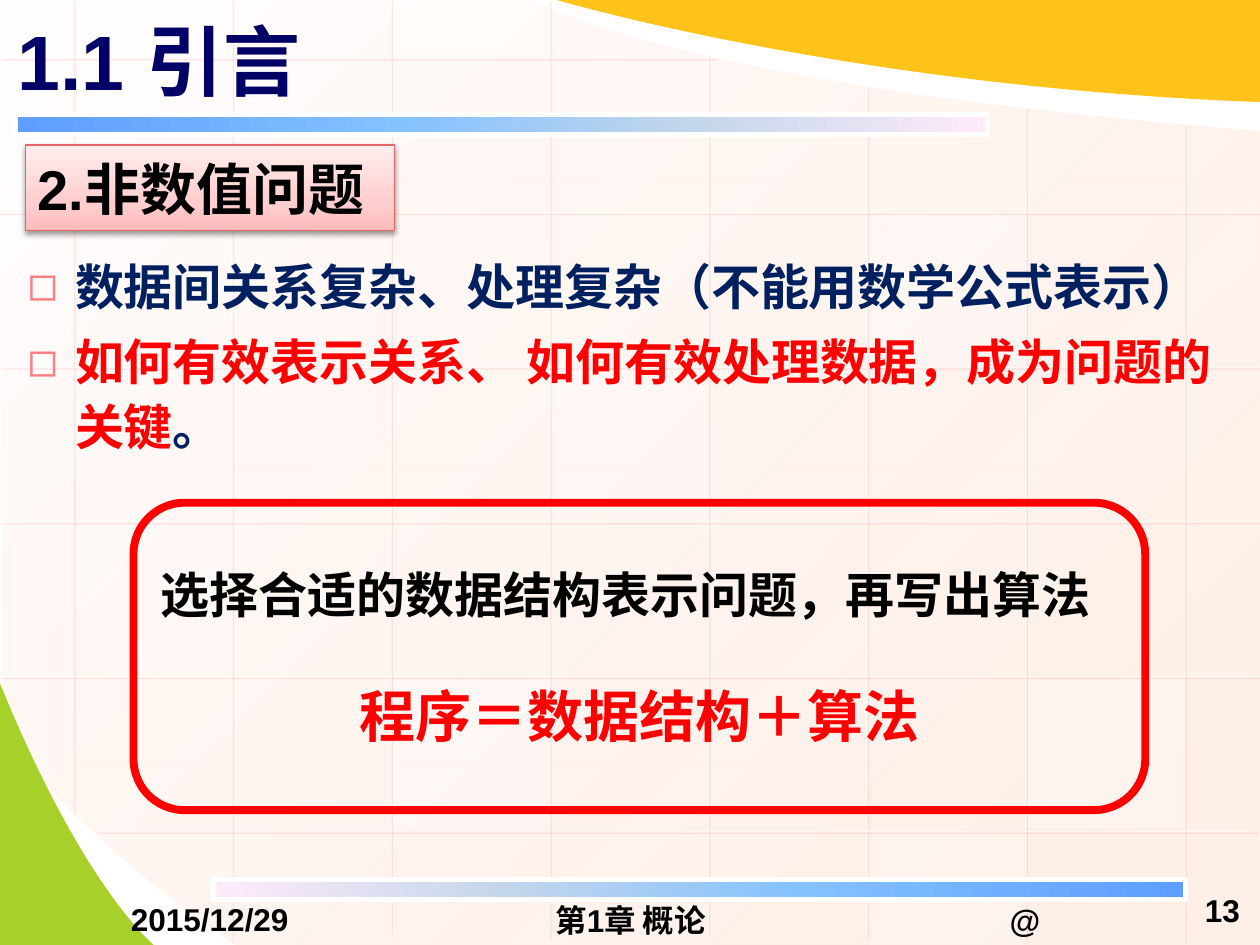
from collections import namedtuple

from lxml.etree import SubElement
from pptx import Presentation
from pptx.dml.color import RGBColor
from pptx.enum.shapes import MSO_CONNECTOR as Connector, MSO_SHAPE as Preset
from pptx.enum.text import MSO_ANCHOR as Anchor, MSO_AUTO_SIZE as AutoSize, PP_ALIGN as Align
from pptx.oxml.ns import qn
from pptx.util import Inches, Pt

Box = namedtuple("Box", "left top width height")
BAR_STOPS = [(0, "5E9EFF"), (40, "85C2FF"), (70, "C4D6EB"), (100, "FFEBFA")]


def rgb(color):
    """Turn a hex string into a colour."""
    return RGBColor.from_string(color)


def inches(box):
    """Turn a box into four lengths."""
    return [Inches(value) for value in box]


def fill_solid(shape, color, alpha=100):
    """Fill a shape with one colour."""
    shape.fill.solid()
    shape.fill.fore_color.rgb = rgb(color)
    if alpha < 100:
        set_alpha(shape, alpha)


def set_alpha(shape, percent):
    """Make the first plain colour of a shape translucent."""
    color = shape.element.spPr.xpath(".//a:srgbClr")[0]
    SubElement(color, qn("a:alpha"), val=str(percent * 1000))


def set_gradient(shape, stops, angle):
    """Fill a shape with (position, colour, optional alpha) stops, angle clockwise."""
    shape.fill.gradient()
    shape.fill.gradient_angle = (360 - angle) % 360
    stop_list = shape.element.spPr.xpath("./a:gradFill/a:gsLst")[0]
    for stop in list(stop_list):
        stop_list.remove(stop)
    for position, color, *alpha in stops:
        stop = SubElement(stop_list, qn("a:gs"), pos=str(position * 1000))
        paint = SubElement(stop, qn("a:srgbClr"), val=color)
        if alpha:
            SubElement(paint, qn("a:alpha"), val=str(alpha[0] * 1000))


def add_shadow(shape, color, alpha, blur, distance, angle):
    """Give a shape an outer shadow."""
    properties = shape.element.spPr
    effects = properties.find(qn("a:effectLst"))
    if effects is None:
        effects = SubElement(properties, qn("a:effectLst"))
    shadow = SubElement(effects, qn("a:outerShdw"), blurRad=str(Pt(blur)), dist=str(Pt(distance)),
                        dir=str(angle * 60000), algn="ctr", rotWithShape="0")
    paint = SubElement(shadow, qn("a:srgbClr"), val=color)
    SubElement(paint, qn("a:alpha"), val=str(alpha * 1000))


def add_plain(page, preset, box, line=None, weight=1):
    """Add an unfilled shape without shadow and with an optional outline."""
    shape = page.shapes.add_shape(preset, *inches(box))
    shape.shadow.inherit = False
    shape.fill.background()
    if line:
        shape.line.color.rgb = rgb(line)
        shape.line.width = Pt(weight)
    else:
        shape.line.fill.background()
    return shape


def style(para, size, color, align=Align.LEFT):
    """Align a paragraph and format all its runs."""
    para.alignment = align
    for span in para.runs:
        span.font.name = "Arial"
        span.font.size = Pt(size)
        span.font.bold = True
        span.font.color.rgb = rgb(color)


def add_outline(page, start, segments):
    """Add a closed outline whose segments hold one point (line) or three (cubic curve)."""
    builder = page.shapes.build_freeform(*inches(start))
    builder.add_line_segments([inches(point) for segment in segments for point in segment], close=True)
    shape = builder.convert_to_shape()
    lines = iter(shape.element.spPr.xpath(".//a:lnTo"))
    for segment in segments:
        steps = [next(lines) for _ in segment]
        if len(steps) == 3:
            steps[0].tag = qn("a:cubicBezTo")
            for step in steps[1:]:
                steps[0].append(step[0])
                step.getparent().remove(step)
    shape.shadow.inherit = False
    shape.line.fill.background()
    return shape


def add_swoops(page, box):
    """Draw the tinted sheet and the green corner."""
    left, top, right, bottom = box.left, box.top, box.left + box.width, box.top + box.height
    sheet = add_outline(page, (right, top + 1.04), [
        [(right, bottom)],
        [(left + 1.88, bottom)],
        [(left + 0.56, bottom - 0.9), (left + 0.02, bottom - 1.7), (left + 0.03, bottom - 1.7)],
        [(left, top)],
        [(left + 4.22, top)],
        [(left + 4.22, top), (left + 5.38, top + 0.69), (right, top + 1.04)]])
    set_gradient(sheet, [(0, "FFFEFE"), (100, "FEE9DE", 70)], 45)
    tip = (left + 1.23, bottom)
    corner = add_outline(page, (left, bottom - 2.1), [
        [(left, bottom)], [tip], [tip, (left + 0.67, bottom - 0.45), (left, bottom - 2.1)]])
    fill_solid(corner, "A8D02A")


def add_grid(page, box):
    """Draw the faint grid lines and the lightened cells."""
    column, row, pitch_x, pitch_y = box.left + 0.58, box.top + 0.46, 8.82 / 7, 6.14 / 5
    right, bottom = box.left + box.width, box.top + box.height
    tops = [0, 0, 0, 0, 0.43, 0.68, 0.85, 0.98]
    bottoms = [6.46, 7.47, 7.4, 7.44, 7.4, 7.44, 7.44, 7.47]
    lines = [(column + i * pitch_x, box.top + start, column + i * pitch_x, box.top + end)
             for i, (start, end) in enumerate(zip(tops, bottoms))]
    spans = [(0, 5.68)] + [(0, right)] * 4 + [(0.76, 9.97)]
    lines += [(end, row + i * pitch_y, start, row + i * pitch_y) for i, (start, end) in enumerate(spans)]
    for ends in lines:
        line = page.shapes.add_connector(Connector.STRAIGHT, *inches(ends))
        line.line.color.rgb = rgb("FFFFFF")
        line.line.width = Pt(0.75)
        set_alpha(line, 50)
        add_shadow(line, "FF7575", 33, 0, 1.4, 45)
    cells = [(3, 2, 25), (6, 4, 30), (0, 3, 20), (5, 5, 20), (2, -1, 40), (2, 4, 30), (5, 1, 30)]
    for across, down, alpha in cells:
        y = row + down * pitch_y + 0.02
        upper, lower = max(y, box.top), min(y + 1.18, bottom)
        cell = add_plain(page, Preset.RECTANGLE, Box(column + across * pitch_x + 0.02, upper, 1.23, lower - upper))
        fill_solid(cell, "FFFFFF", alpha)


def add_wave(page, box):
    """Draw the yellow wave at the top right."""
    right, bottom = box.left + box.width, box.top + box.height
    start = (box.left, box.top)
    wave = add_outline(page, (right, bottom), [
        [(right, box.top)], [start], [start, (box.left + 2.32, box.top + 0.69), (right, bottom)]])
    fill_solid(wave, "FFC319")


def add_bar(page, box, stops):
    """Draw a gradient bar with a white edge."""
    set_gradient(add_plain(page, Preset.RECTANGLE, box, "FFFFFF", 3), stops, 0)


def add_label(page, box, text, align=Align.CENTER):
    """Write one footer label."""
    frame = page.shapes.add_textbox(*inches(box)).text_frame
    frame.word_wrap = True
    frame.vertical_anchor = Anchor.MIDDLE
    if align == Align.CENTER:
        frame.margin_top = frame.margin_bottom = 0
    else:
        frame.margin_right = Inches(0.2)
    frame.text = text
    style(frame.paragraphs[0], 18, "000000", align)


def move_to_master(page, master):
    """Hand the drawn backdrop over to the slide master."""
    for number, shape in enumerate(list(page.shapes), 100):
        if not shape.is_placeholder:
            shape.element.xpath(".//p:cNvPr")[0].set("id", str(number))
            master.shapes.element.append(shape.element)


def place(holder, box, anchor):
    """Move a placeholder into its box."""
    holder.left, holder.top, holder.width, holder.height = inches(box)
    holder.text_frame.auto_size = AutoSize.NONE
    holder.text_frame.vertical_anchor = anchor


def add_title(page, box):
    """Set the slide title."""
    title = page.shapes.title
    place(title, box, Anchor.MIDDLE)
    title.text_frame.text = "1.1 引言"
    style(title.text_frame.paragraphs[0], 44, "000066")


def add_points(page, box):
    """Set the bulleted list."""
    body = page.placeholders[1]
    place(body, box, Anchor.TOP)
    frame = body.text_frame
    frame.text = "数据间关系复杂、处理复杂（不能用数学公式表示）\n如何有效表示关系、 如何有效处理数据，成为问题的关键"
    for para, color, before in zip(frame.paragraphs, ("002060", "FF0000"), (0, 6)):
        para.line_spacing = 1.1
        para.space_before = Pt(before)
        properties = para._p.get_or_add_pPr()
        properties.set("marL", str(Pt(27)))
        properties.set("indent", str(-Pt(27)))
        SubElement(SubElement(properties, qn("a:buClr")), qn("a:srgbClr"), val="FF7C80")
        SubElement(properties, qn("a:buChar"), char="◻")
        style(para, 28, color)
    stop = frame.paragraphs[1].add_run()
    stop.text = "。"
    style(frame.paragraphs[1], 28, "FF0000")
    stop.font.color.rgb = rgb("002060")


def add_heading(page, box):
    """Draw the pink section heading."""
    heading = add_plain(page, Preset.RECTANGLE, box, "E56464", 0.75)
    set_gradient(heading, [(0, "FFBBBB"), (35, "FFCFCF"), (100, "FFEDED")], 270)
    add_shadow(heading, "000000", 38, 3.1, 1.6, 90)
    frame = heading.text_frame
    frame.word_wrap = False
    frame.vertical_anchor = Anchor.MIDDLE
    frame.text = "2.非数值问题"
    style(frame.paragraphs[0], 32, "000000")


def add_conclusion(page, box):
    """Draw the red rounded frame with the conclusion."""
    frame = add_plain(page, Preset.ROUNDED_RECTANGLE, box, "FF0000", 4.5).text_frame
    frame.vertical_anchor = Anchor.MIDDLE
    frame.text = "选择合适的数据结构表示问题，再写出算法\n程序＝数据结构＋算法"
    statement, formula = frame.paragraphs
    style(statement, 28, "000000")
    style(formula, 32, "FF0000", Align.CENTER)
    formula.space_before = Pt(33)


def main():
    """Build and save the deck."""
    deck = Presentation()
    deck.slide_width, deck.slide_height = Inches(10), Inches(7.5)
    page = deck.slides.add_slide(deck.slide_layouts[1])
    add_swoops(page, Box(-0.01, 0, 10.02, 7.5))
    add_grid(page, Box(0, 0, 10, 7.5))
    add_wave(page, Box(4.42, 0, 5.58, 0.81))
    add_label(page, Box(6.97, 7.15, 2.33, 0.3), "@")
    add_bar(page, Box(0.12, 0.91, 7.72, 0.16), BAR_STOPS)
    add_bar(page, Box(1.69, 6.98, 7.72, 0.16), [(100 - at, color) for at, color in reversed(BAR_STOPS)])
    move_to_master(page, deck.slide_master)
    add_title(page, Box(0.04, -0.03, 9, 1.01))
    add_points(page, Box(0.12, 1.94, 9.69, 4.88))
    add_label(page, Box(0.5, 7.14, 2.33, 0.3), "2015/12/29")
    add_label(page, Box(3.42, 7.15, 3.17, 0.3), "第1章 概论")
    add_label(page, Box(9.38, 6.98, 0.66, 0.49), "13", Align.RIGHT)
    add_heading(page, Box(0.2, 1.15, 2.93, 0.68))
    add_conclusion(page, Box(1.06, 3.99, 8.03, 2.44))
    deck.save("out.pptx")


if __name__ == "__main__":
    main()
